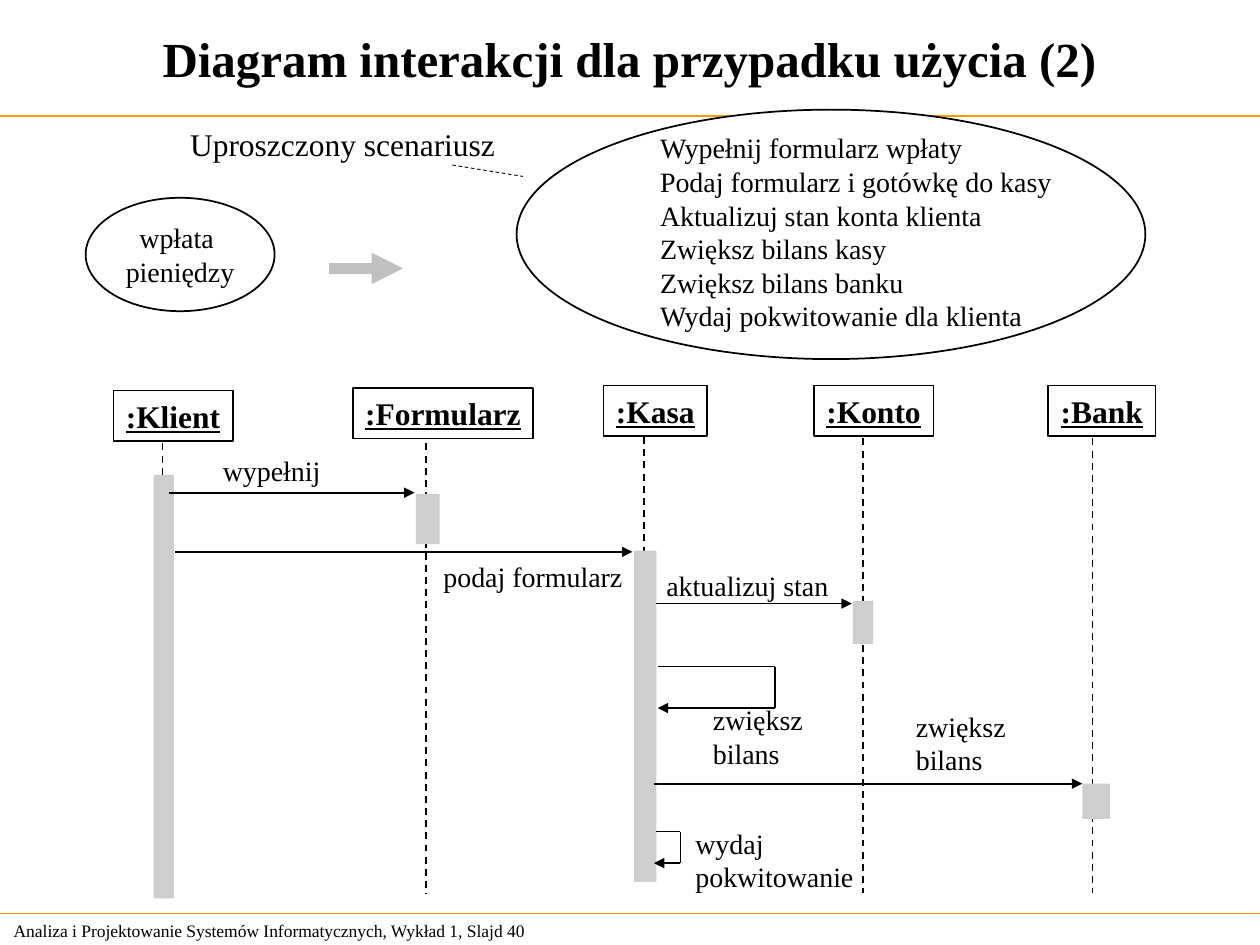
from dataclasses import dataclass, field
from itertools import pairwise
from typing import NamedTuple

from pptx import Presentation
from pptx.dml.color import RGBColor
from pptx.enum.dml import MSO_LINE
from pptx.enum.shapes import MSO_CONNECTOR, MSO_SHAPE
from pptx.enum.text import MSO_ANCHOR, MSO_AUTO_SIZE, PP_ALIGN
from pptx.oxml.ns import qn
from pptx.util import Inches, Pt
from lxml.etree import SubElement


@dataclass(frozen=True)
class Theme:
    font: str = "Times New Roman"
    ink: RGBColor = RGBColor(0, 0, 0)
    paper: RGBColor = RGBColor(255, 255, 255)
    rule: RGBColor = RGBColor.from_string("FF9900")
    bar: RGBColor = RGBColor.from_string("CECECE")
    arrow: RGBColor = RGBColor.from_string("C0C0C0")
    title: dict = field(default_factory=lambda: {"size": Pt(28), "bold": True})
    head: dict = field(default_factory=lambda: {"size": Pt(18), "bold": True, "underline": True})
    lead: dict = field(default_factory=lambda: {"size": Pt(18)})
    body: dict = field(default_factory=lambda: {"size": Pt(16)})
    foot: dict = field(default_factory=lambda: {"size": Pt(10)})


class Box(NamedTuple):
    left: float
    top: float
    width: float
    height: float


class Point(NamedTuple):
    x: float
    y: float


class Actor(NamedTuple):
    name: str
    head: Box
    axis: float
    start: float
    end: float
    bar: Box


class Label(NamedTuple):
    text: str
    box: Box
    style: dict
    wrap: bool = False


THEME = Theme()

ACTORS = [
    Actor(":Klient", Box(0.9, 3.1, 0.95, 0.4), 1.29, 3.52, 3.77, Box(1.22, 3.77, 0.16, 3.36)),
    Actor(":Formularz", Box(2.8, 3.08, 1.43, 0.4), 3.38, 3.52, 7.09, Box(3.3, 3.92, 0.19, 0.4)),
    Actor(":Kasa", Box(4.79, 3.06, 0.82, 0.4), 5.11, 3.47, 4.37, Box(5.03, 4.37, 0.18, 2.63)),
    Actor(":Konto", Box(6.46, 3.06, 0.95, 0.4), 6.85, 3.48, 7.09, Box(6.77, 4.77, 0.16, 0.34)),
    Actor(":Bank", Box(8.32, 3.06, 0.85, 0.4), 8.67, 3.48, 7.09, Box(8.59, 6.22, 0.22, 0.28)),
]

# Each call is a route of points; the last leg carries the arrowhead.
CALLS = [
    [Point(1.34, 3.91), Point(3.29, 3.91)],
    [Point(1.39, 4.38), Point(5.02, 4.38)],
    [Point(5.21, 4.79), Point(6.76, 4.79)],
    [Point(5.19, 6.22), Point(8.59, 6.22)],
    [Point(5.22, 5.29), Point(6.15, 5.29), Point(6.15, 5.62), Point(5.22, 5.62)],
    [Point(5.21, 6.6), Point(5.4, 6.6), Point(5.4, 6.85), Point(5.19, 6.85)],
]

STEPS = """Wypełnij formularz wpłaty
Podaj formularz i gotówkę do kasy
Aktualizuj stan konta klienta
Zwiększ bilans kasy
Zwiększ bilans banku
Wydaj pokwitowanie dla klienta"""

LABELS = [
    Label("Uproszczony scenariusz", Box(1.41, 0.94, 2.62, 0.4), THEME.lead),
    Label(STEPS, Box(5.14, 0.99, 3.76, 1.7), THEME.body, True),
    Label("wypełnij", Box(1.67, 3.55, 0.97, 0.37), THEME.body),
    Label("podaj formularz", Box(3.42, 4.39, 1.62, 0.37), THEME.body),
    Label("aktualizuj stan", Box(5.19, 4.46, 1.48, 0.37), THEME.body),
    Label("zwiększ\nbilans", Box(7.17, 5.58, 0.91, 0.64), THEME.body),
    Label("zwiększ\nbilans", Box(5.56, 5.53, 0.91, 0.64), THEME.body),
    Label("wydaj\npokwitowanie", Box(5.42, 6.51, 1.45, 0.64), THEME.body),
    Label("Analiza i Projektowanie Systemów Informatycznych, Wykład 1, Slajd 40",
          Box(0.01, 7.25, 4.75, 0.27), THEME.foot, True),
]


def scale(box: Box) -> list:
    return [Inches(part) for part in box]


def write(shape, text: str, style: dict, align=PP_ALIGN.LEFT,
          anchor=MSO_ANCHOR.TOP, wrap: bool = False) -> None:
    frame = shape.text_frame
    frame.text = text
    layout = {"word_wrap": wrap, "vertical_anchor": anchor, "auto_size": MSO_AUTO_SIZE.NONE,
              "margin_left": Inches(0.1), "margin_right": Inches(0.1),
              "margin_top": Inches(0.05), "margin_bottom": Inches(0.05)}
    for key, value in layout.items():
        setattr(frame, key, value)
    for para in frame.paragraphs:
        para.alignment = align
        for run in para.runs:
            for key, value in {"name": THEME.font, **style}.items():
                setattr(run.font, key, value)
            run.font.color.rgb = THEME.ink


def draw(slide, kind, box: Box, fill=None, edge=None):
    shape = slide.shapes.add_shape(kind, *scale(box))
    shape.shadow.inherit = False
    if fill is None:
        shape.fill.background()
    else:
        shape.fill.solid()
        shape.fill.fore_color.rgb = fill
    if edge is None:
        shape.line.fill.background()
    else:
        shape.line.color.rgb = edge
        shape.line.width = Pt(1)
    return shape


def link(slide, start: Point, end: Point, color=THEME.ink, width: float = 1,
         dash: bool = False, tip: bool = False) -> None:
    ends = [Inches(part) for part in (*start, *end)]
    line = slide.shapes.add_connector(MSO_CONNECTOR.STRAIGHT, *ends)
    line.line.color.rgb = color
    line.line.width = Pt(width)
    if dash:
        line.line.dash_style = MSO_LINE.DASH
    props = line._element.spPr
    if tip:
        SubElement(props.find(qn("a:ln")), qn("a:tailEnd"), type="triangle")
    SubElement(props, qn("a:effectLst"))


def label(slide, item: Label) -> None:
    box = slide.shapes.add_textbox(*scale(item.box))
    write(box, item.text, item.style, wrap=item.wrap)


def main() -> None:
    deck = Presentation()
    deck.slide_width, deck.slide_height = Inches(10), Inches(7.5)
    slide = deck.slides.add_slide(deck.slide_layouts[5])

    for y in (0.92, 7.25):
        link(slide, Point(0, y), Point(10, y), THEME.rule, 0.75)

    title = slide.shapes.title
    spots = ("left", "top", "width", "height")
    for key, value in zip(spots, scale(Box(0, 0, 9.99, 0.92))):
        setattr(title, key, value)
    write(title, "Diagram interakcji dla przypadku użycia (2)", THEME.title,
          PP_ALIGN.CENTER, MSO_ANCHOR.MIDDLE, True)

    case = draw(slide, MSO_SHAPE.OVAL, Box(0.68, 1.57, 1.5, 0.9), edge=THEME.ink)
    write(case, "wpłata \npieniędzy", THEME.body, PP_ALIGN.CENTER)
    draw(slide, MSO_SHAPE.OVAL, Box(4.1, 0.87, 4.99, 1.98), THEME.paper, THEME.ink)
    link(slide, Point(3.59, 1.31), Point(4.15, 1.4), width=0.5, dash=True)
    link(slide, Point(2.61, 2.13), Point(3.2, 2.13), THEME.arrow, 6, tip=True)

    for actor in ACTORS:
        head = draw(slide, MSO_SHAPE.RECTANGLE, actor.head, edge=THEME.ink)
        write(head, actor.name, THEME.head)
        link(slide, Point(actor.axis, actor.start), Point(actor.axis, actor.end), dash=True)
        draw(slide, MSO_SHAPE.RECTANGLE, actor.bar, THEME.bar)

    for route in CALLS:
        for start, end in pairwise(route):
            link(slide, start, end, tip=end is route[-1])

    for item in LABELS:
        label(slide, item)

    deck.save("out.pptx")


if __name__ == "__main__":
    main()
